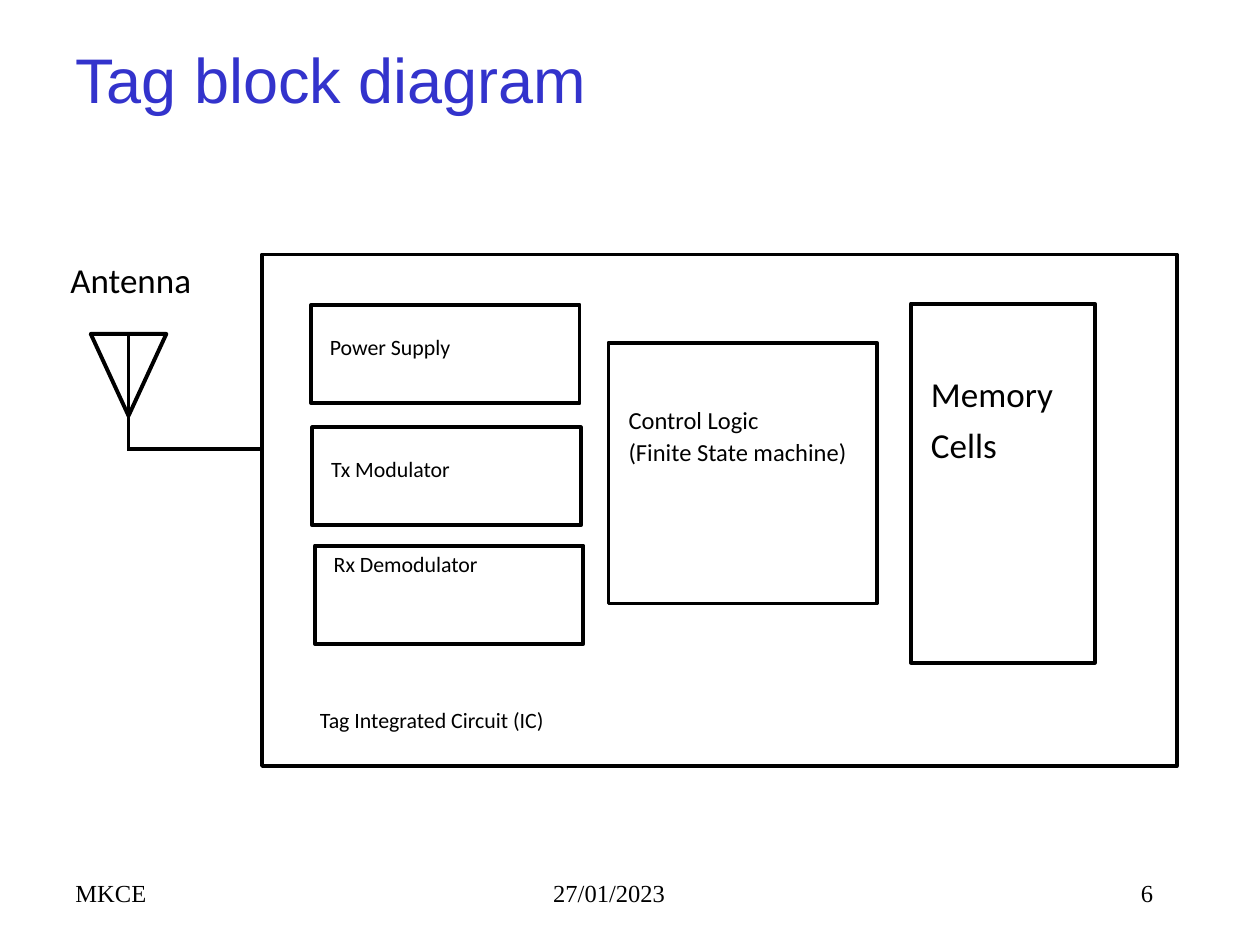
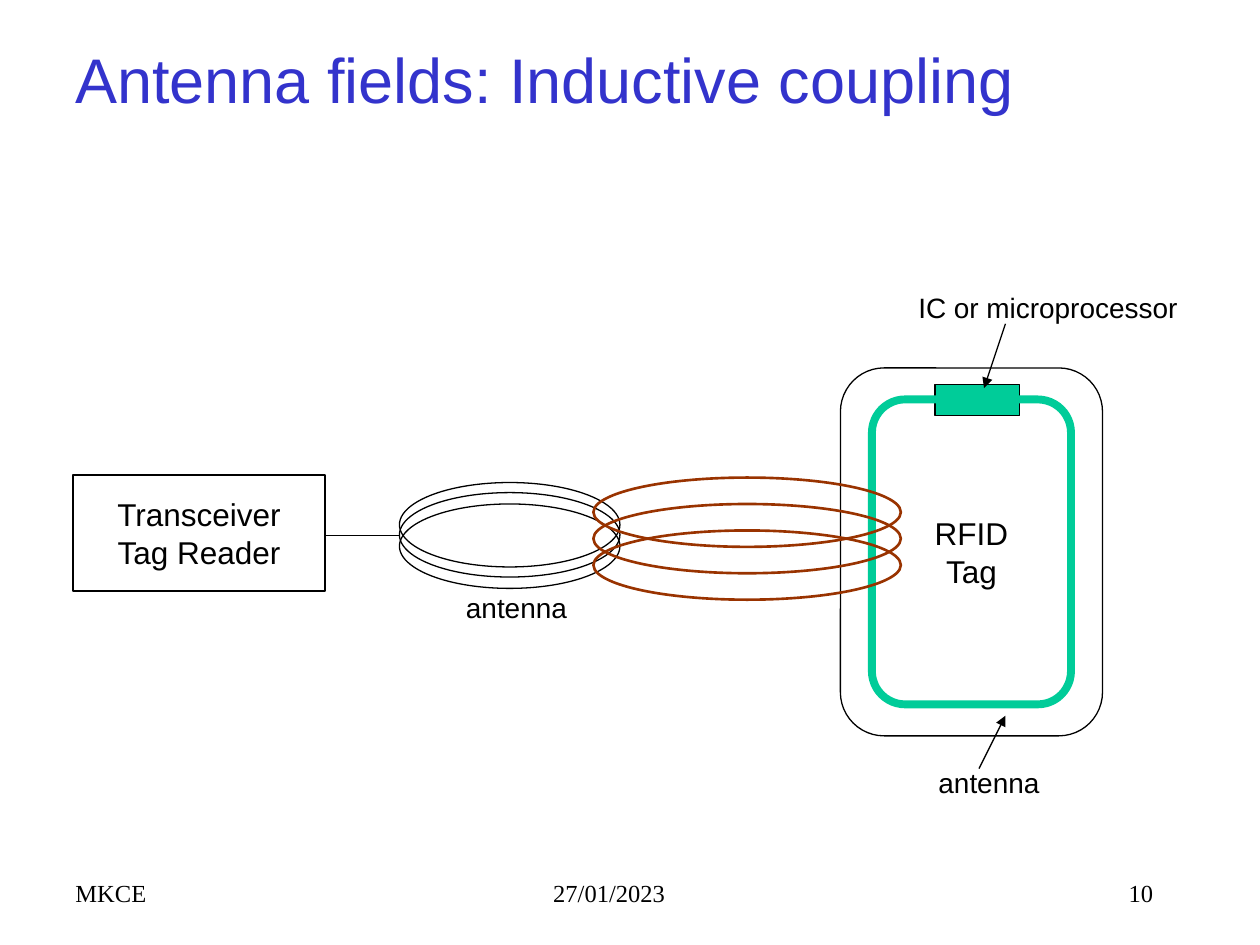
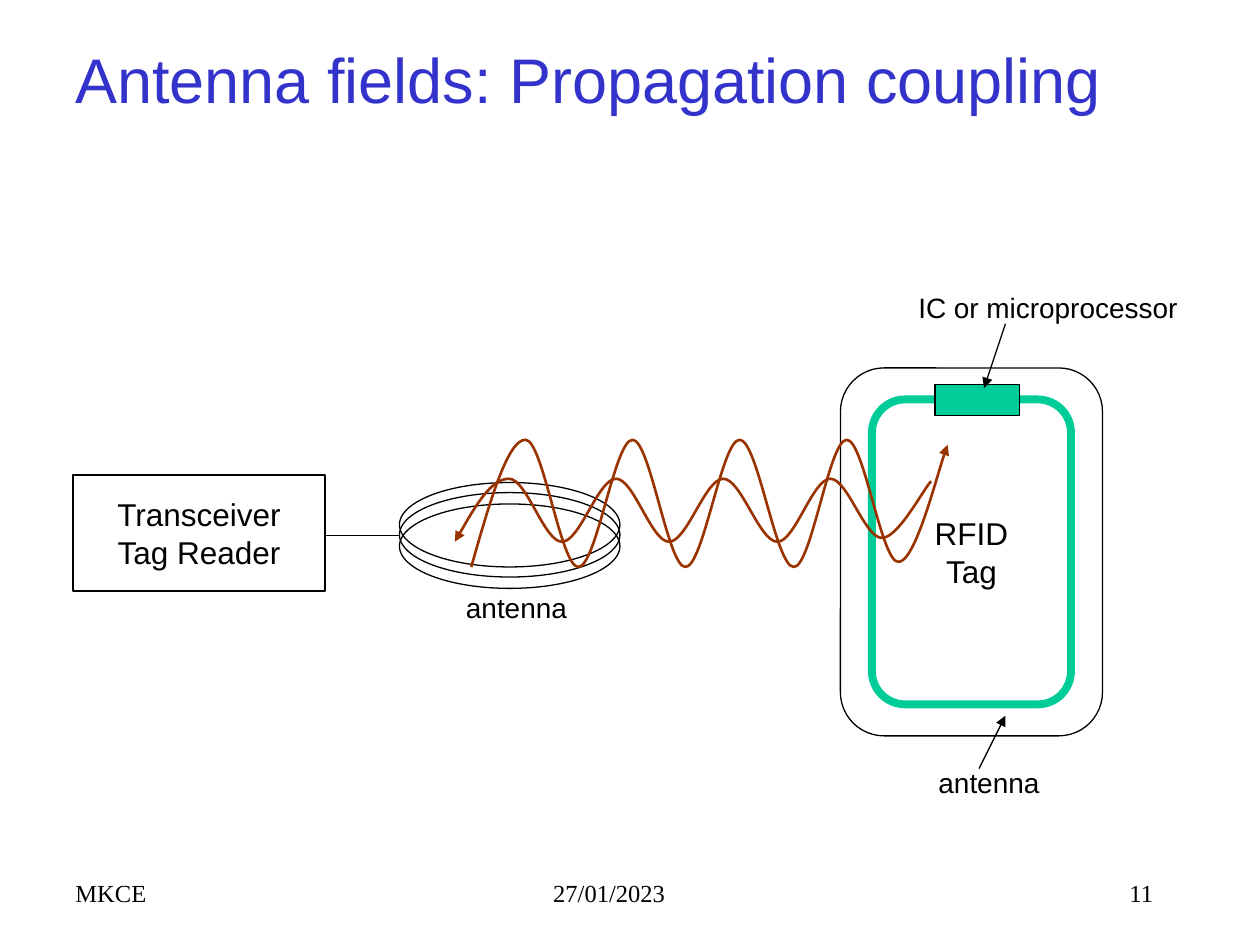
from lxml import etree
from pptx import Presentation
from pptx import util as u
from pptx.dml.color import RGBColor
from pptx.enum import shapes, text
from pptx.oxml.ns import qn

COLORS = {"title": "3333CC", "ink": "000000", "paper": "FFFFFF",
          "tag": "00CC99", "field": "993300"}
ALIGN = text.PP_ALIGN
SHAPE = shapes.MSO_SHAPE
STRAIGHT = shapes.MSO_CONNECTOR.STRAIGHT


def style(sp, color="ink", width=2.25, fill=None, arrow=None):
    """Set line, fill and shadow; arrow is "headEnd" or "tailEnd"."""
    sp.line.color.rgb = RGBColor.from_string(COLORS[color])
    sp.line.width = u.Pt(width)
    if arrow:
        ln = sp.line._get_or_add_ln()
        etree.SubElement(ln, qn("a:" + arrow), type="triangle")
    if hasattr(sp, "shadow"):
        sp.shadow.inherit = False
    else:
        etree.SubElement(sp._element.spPr, qn("a:effectLst"))
    if fill:
        sp.fill.solid()
        sp.fill.fore_color.rgb = RGBColor.from_string(COLORS[fill])
    elif hasattr(sp, "fill"):
        sp.fill.background()
    return sp


def write(sp, lines, size, font="Arial", color="ink", align=ALIGN.LEFT,
          anchor=text.MSO_ANCHOR.TOP, wrap=True, spacing=1.0, before=0):
    tf = sp.text_frame
    tf.word_wrap = wrap
    tf.vertical_anchor = anchor
    for i, line in enumerate(lines):
        p = tf.paragraphs[0] if i == 0 else tf.add_paragraph()
        p.alignment = align
        p.line_spacing = spacing
        if i:
            p.space_before = u.Pt(before)
        r = p.add_run()
        r.text = line
        r.font.size = u.Pt(size)
        r.font.name = font
        r.font.color.rgb = RGBColor.from_string(COLORS[color])
    return tf


prs = Presentation()
prs.slide_width, prs.slide_height = u.Inches(10), u.Inches(7.5)

# Title and footer on every slide
slides = []
for title, number in [("Tag block diagram", "6"),
                      ("Antenna fields: Inductive coupling", "10"),
                      ("Antenna fields: Propagation coupling", "11")]:
    s = prs.slides.add_slide(prs.slide_layouts[6])
    slides.append(s)
    for left, width, words, align in [(0.5, 2.08, "MKCE", ALIGN.LEFT),
                                      (3.25, 3.17, "27/01/2023", ALIGN.CENTER),
                                      (7.17, 2.08, number, ALIGN.RIGHT)]:
        footer = s.shapes.add_textbox(*map(u.Inches, (left, 6.92, width, 0.5)))
        write(footer, [words], 14, "Times New Roman", align=align)
    heading = s.shapes.add_textbox(*map(u.Inches, (0.5, 0, 8.5, 1.25)))
    write(heading, [title], 36, color="title", anchor=text.MSO_ANCHOR.MIDDLE)

block_slide, inductive_slide, propagation_slide = slides

# Tag block diagram
sp = block_slide.shapes
triangle = style(sp.add_shape(SHAPE.ISOSCELES_TRIANGLE,
                              *map(u.Inches, (0.72, 2.65, 0.6, 0.65))))
triangle.rotation = 180
for ends in [(1.02, 2.66, 1.02, 3.56), (1.01, 3.56, 2.06, 3.56)]:
    style(sp.add_connector(STRAIGHT, *map(u.Inches, ends)))

for block in [(2.47, 2.42, 2.13, 0.78),
              (2.48, 3.39, 2.13, 0.78),
              (2.5, 4.33, 2.13, 0.78),
              (4.83, 2.72, 2.13, 2.07),
              (7.23, 2.41, 1.46, 2.85),
              (2.08, 2.02, 7.26, 4.06)]:
    style(sp.add_shape(SHAPE.RECTANGLE, *map(u.Inches, block)))

for at, lines, size, spacing in [
        ((0.46, 2, 1.34, 0.61), ["Antenna"], 20, 1.0),
        ((2.52, 2.64, 2, 0.34), ["Power Supply"], 12.5, 0.8),
        ((2.53, 3.61, 2, 0.34), ["Tx Modulator"], 12.5, 0.8),
        ((2.55, 4.36, 2, 0.34), ["Rx Demodulator"], 12.5, 0.8),
        ((4.89, 3.21, 2, 0.89), ["Control Logic", "(Finite State machine)"], 14, 0.8),
        ((7.29, 2.91, 1.38, 1.23), ["Memory", "Cells"], 20, 1.0),
        ((2.44, 5.6, 4.51, 0.34), ["Tag Integrated Circuit (IC)"], 12.5, 0.8)]:
    label = sp.add_textbox(*map(u.Inches, at))
    write(label, lines, size, "Calibri", spacing=spacing, before=5)

# Reader and tag, common to both coupling slides
tag_coil = (SHAPE.ROUNDED_RECTANGLE, (6.92, 3.17, 1.58, 2.42), "tag", 4.5, None)
tag_chip = (SHAPE.RECTANGLE, (7.42, 3.05, 0.67, 0.25), "ink", 0.75, "tag")
for s, card_fill, tag_parts in [(inductive_slide, "paper", [tag_chip, tag_coil]),
                                (propagation_slide, None, [tag_coil, tag_chip])]:
    sp = s.shapes
    reader = style(sp.add_shape(SHAPE.RECTANGLE,
                                *map(u.Inches, (0.58, 3.77, 2, 0.92))), width=1.5)
    for top in (4, 3.91, 3.83):
        style(sp.add_shape(SHAPE.OVAL, *map(u.Inches, (3.17, top, 1.75, 0.67))),
              width=0.75)
    card = style(sp.add_shape(SHAPE.ROUNDED_RECTANGLE,
                              *map(u.Inches, (6.67, 2.92, 2.08, 2.92))),
                 width=0.75, fill=card_fill)
    for kind, at, color, width, fill in tag_parts:
        style(sp.add_shape(kind, *map(u.Inches, at)), color, width, fill)
    for holder, lines in [(reader, ["Transceiver", "Tag Reader"]),
                          (card, ["RFID", "Tag"])]:
        write(holder, lines, 18, align=ALIGN.CENTER,
              anchor=text.MSO_ANCHOR.MIDDLE, wrap=False)

    for left, top, width, words in [(3.6, 4.64, 1, "antenna"),
                                    (7.19, 2.26, 2.3, "IC or microprocessor"),
                                    (7.35, 6.03, 1, "antenna")]:
        label = sp.add_textbox(*map(u.Inches, (left, top, width, 0.37)))
        write(label, [words], 16)
    for ends, arrow in [((2.58, 4.25, 3.17, 4.25), None),
                        ((7.98, 2.57, 7.81, 3.08), "tailEnd"),
                        ((7.77, 6.1, 7.98, 5.68), "tailEnd")]:
        style(sp.add_connector(STRAIGHT, *map(u.Inches, ends)),
              width=0.75, arrow=arrow)

# Magnetic field between reader and tag
for top in (4.21, 4, 3.79):
    loop = inductive_slide.shapes.add_shape(
        SHAPE.OVAL, *map(u.Inches, (4.71, top, 2.44, 0.55)))
    style(loop, "field", 1.5)

# Radio waves: Bezier half waves, level at each crest and sloping at both ends
KNOTS = [0, 0.43, 0.85, 1.28, 1.7, 2.13, 2.56, 2.98, 3.39, 3.78]
for left, crest, trough, last_trough, end, end_control, arrow in [
        (3.74, 3.49, 4.5, 4.46, 3.53, (7.46, 3.68), "tailEnd"),
        (3.61, 3.8, 4.3, 4.27, 3.82, (7.33, 3.88), "headEnd")]:
    xs = [left + knot for knot in KNOTS]
    ys = [trough, crest] * 4 + [last_trough, end]
    points = []
    for x0, x1, y0, y1 in zip(xs, xs[1:], ys, ys[1:]):
        third = (x1 - x0) / 3
        points += [(x0 + third, y0), (x1 - third, y1), (x1, y1)]
    points[0] = (points[0][0], (trough + crest) / 2)
    points[-2] = end_control

    builder = propagation_slide.shapes.build_freeform(u.Inches(left), u.Inches(trough))
    builder.add_line_segments([(u.Inches(x), u.Inches(y)) for x, y in points],
                              close=False)
    wave = style(builder.convert_to_shape(), "field", 1.5, arrow=arrow)
    segments = list(wave._element.iter(qn("a:lnTo")))
    for i in range(0, len(segments), 3):
        curve = etree.Element(qn("a:cubicBezTo"))
        segments[i].addprevious(curve)
        for segment in segments[i:i + 3]:
            curve.append(segment[0])
            segment.getparent().remove(segment)

prs.save("out.pptx")
